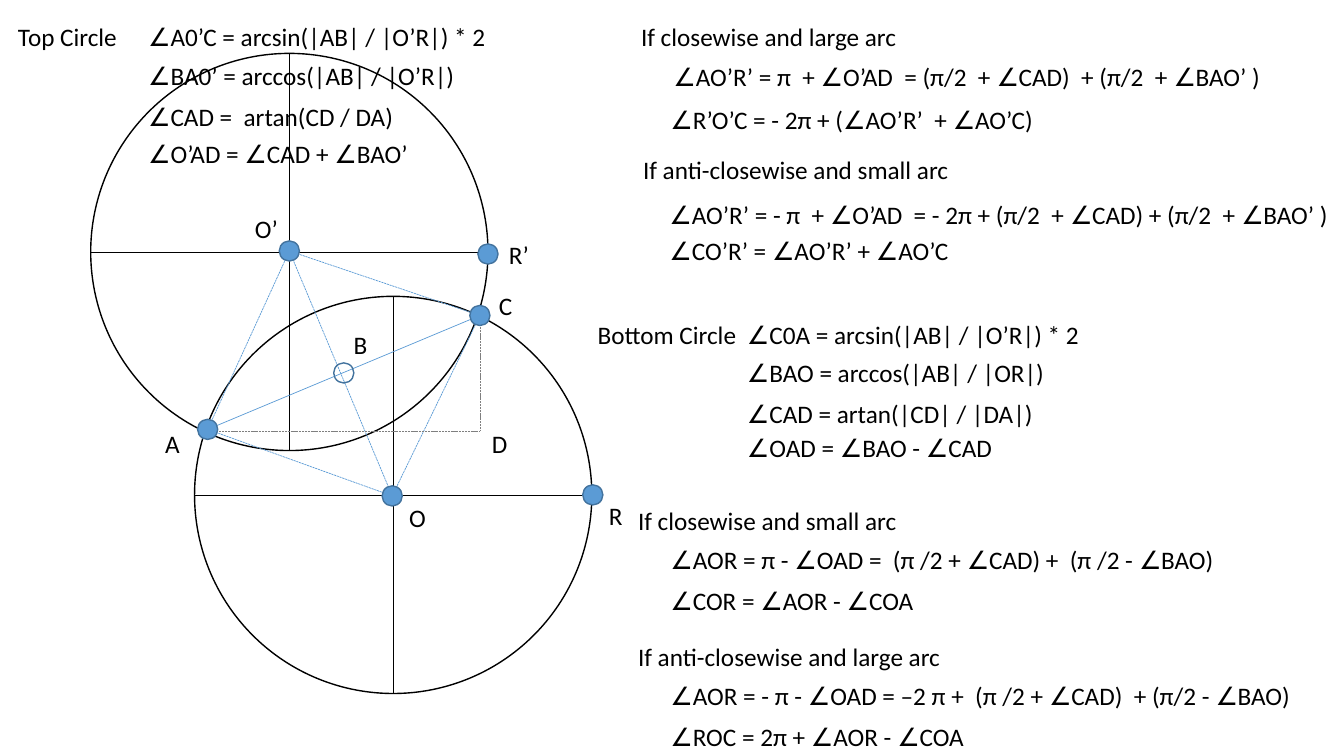
from pptx import Presentation
from pptx.dml.color import RGBColor
from pptx.enum.dml import MSO_LINE
from pptx.enum.shapes import MSO_CONNECTOR, MSO_SHAPE
from pptx.enum.text import MSO_AUTO_SIZE
from pptx.oxml.ns import qn
from pptx.util import Inches, Pt
from lxml import etree

OVAL = MSO_SHAPE.OVAL
STRAIGHT = MSO_CONNECTOR.STRAIGHT
DASH = MSO_LINE.SQUARE_DOT
FIT = MSO_AUTO_SIZE.SHAPE_TO_FIT_TEXT
BLANK = 6

BLACK, BLUE, EDGE, GREY = "000000", "5B9BD5", "43739E", "7F7F7F"
FONT, SIZE = "Calibri", 18
ROW = 0.4
RADIUS, DOT = 1.97, 0.1


def paint(color, value):
    color.rgb = RGBColor.from_string(value)


def add_text(slide, x, y, width, words):
    box = slide.shapes.add_textbox(Inches(x), Inches(y), Inches(width), Inches(ROW))
    frame = box.text_frame
    frame.word_wrap = False
    frame.auto_size = FIT
    run = frame.paragraphs[0].add_run()
    run.text = words
    run.font.name = FONT
    run.font.size = Pt(SIZE)
    paint(run.font.color, BLACK)


def add_circle(slide, center, radius, edge, fill=None):
    x, y = center
    oval = slide.shapes.add_shape(OVAL, Inches(x - radius), Inches(y - radius),
                                  Inches(2 * radius), Inches(2 * radius))
    oval.shadow.inherit = False
    if fill:
        oval.fill.solid()
        paint(oval.fill.fore_color, fill)
    else:
        oval.fill.background()
    paint(oval.line.color, edge)
    oval.line.width = Pt(1)


def add_line(slide, start, end, color, dash=None):
    line = slide.shapes.add_connector(STRAIGHT, *map(Inches, (*start, *end)))
    paint(line.line.color, color)
    line.line.width = Pt(0.5)
    if dash:
        line.line.dash_style = dash
    etree.SubElement(line._element.spPr, qn("a:effectLst"))


def add_diagram(slide, left, top):
    """Draw both circles, with the top left of their bounds at the given place."""
    def place(x, y):
        return left + x, top + y

    # Point: place, then offset and width of its label
    points = {
        "O’": (place(1.97, 1.96), (-0.44, -0.42), 0.43),
        "A": (place(1.16, 3.73), (-0.52, -0.06), 0.35),
        "O": (place(2.99, 4.39), (0.07, 0.01), 0.37),
        "C": (place(3.86, 2.6), (0.09, -0.3), 0.34),
        "B": (place(2.51, 3.17), (0, -0.48), 0.34),
        "R": (place(4.98, 4.38), (0.06, 0), 0.34),
        "D": (place(3.86, 3.75), (0.02, -0.08), 0.36),
        "R’": (place(3.94, 1.99), (0.11, -0.19), 0.4),
    }
    spot = {name: point[0] for name, point in points.items()}

    for x, y in (place(RADIUS, RADIUS), place(3, 4.38)):
        add_circle(slide, (x, y), RADIUS, BLACK)
        add_line(slide, (x - RADIUS, y), (x + RADIUS, y), BLACK)
        add_line(slide, (x, y - RADIUS), (x, y + RADIUS), BLACK)

    corner = spot["A"][0], spot["D"][1]
    add_line(slide, spot["C"], spot["A"], BLUE)
    for start, end in (("A", "O"), ("O", "C"), ("O’", "A"), ("O’", "C"), ("O’", "O")):
        add_line(slide, spot[start], spot[end], BLUE, DASH)
    for start in (corner, spot["C"]):
        add_line(slide, start, spot["D"], GREY, DASH)

    for name, ((x, y), (dx, dy), width) in points.items():
        if name != "D":
            add_circle(slide, (x, y), DOT, EDGE, None if name == "B" else BLUE)
        add_text(slide, x + dx, y + dy, width, name)


def add_angles(slide, left, top, head, indent, rows):
    """Set a heading, given as words and width, beside a column of formulas."""
    add_text(slide, left, top, head[1], head[0])
    for y, width, words in rows:
        add_text(slide, left + indent, top + y, width, words)


def add_case(slide, left, top, head, rows):
    """Set a condition, given as words and width, above its formulas."""
    add_text(slide, left, top, head[1], head[0])
    for x, y, width, words in rows:
        add_text(slide, left + x, top + y, width, words)


def main():
    deck = Presentation()
    deck.slide_width, deck.slide_height = Inches(13.33), Inches(7.5)
    slide = deck.slides.add_slide(deck.slide_layouts[BLANK])

    add_diagram(slide, 0.9, 0.53)
    add_angles(slide, 0.08, 0.16, ("Top Circle", 1.19), 1.29, (
        (0, 3.59, "∠A0’C = arcsin(|AB| / |O’R|) * 2"),
        (0.39, 3.29, "∠BA0’ = arccos(|AB| / |O’R|)"),
        (0.8, 2.69, "∠CAD =  artan(CD / DA)"),
        (1.16, 3.01, "∠O’AD = ∠CAD + ∠BAO’"),
    ))
    add_angles(slide, 5.83, 3.12, ("Bottom Circle", 1.6), 1.48, (
        (0, 3.56, "∠C0A = arcsin(|AB| / |O’R|) * 2"),
        (0.38, 3.2, "∠BAO = arccos(|AB| / |OR|)"),
        (0.78, 3.1, "∠CAD = artan(|CD| / |DA|)"),
        (1.12, 2.8, "∠OAD = ∠BAO - ∠CAD"),
    ))
    add_case(slide, 6.26, 0.16, ("If closewise and large arc", 2.76), (
        (0.32, 0.4, 6.3, "∠AO’R’ = π  + ∠O’AD  = (π/2  + ∠CAD)  + (π/2  + ∠BAO’ )"),
        (0.29, 0.83, 3.98, "∠R’O’C = - 2π + (∠AO’R’  + ∠AO’C)"),
    ))
    add_case(slide, 6.28, 1.48, ("If anti-closewise and small arc", 3.26), (
        (0.26, 0.45, 7.05,
         "∠AO’R’ = - π  + ∠O’AD  = - 2π + (π/2  + ∠CAD) + (π/2  + ∠BAO’ )"),
        (0.26, 0.81, 3.14, "∠CO’R’ = ∠AO’R’ + ∠AO’C"),
    ))
    add_case(slide, 6.23, 4.96, ("If closewise and small arc", 2.79), (
        (0.32, 0.39, 5.79, "∠AOR = π - ∠OAD =  (π /2 + ∠CAD) +  (π /2 - ∠BAO)"),
        (0.32, 0.8, 2.78, "∠COR = ∠AOR - ∠COA"),
    ))
    add_case(slide, 6.23, 6.31, ("If anti-closewise and large arc", 3.23), (
        (0.32, 0.39, 6.59,
         "∠AOR = - π - ∠OAD = –2 π +  (π /2 + ∠CAD)  + (π/2 - ∠BAO)"),
        (0.32, 0.8, 3.29, "∠ROC = 2π + ∠AOR - ∠COA"),
    ))
    deck.save("out.pptx")


if __name__ == "__main__":
    main()
